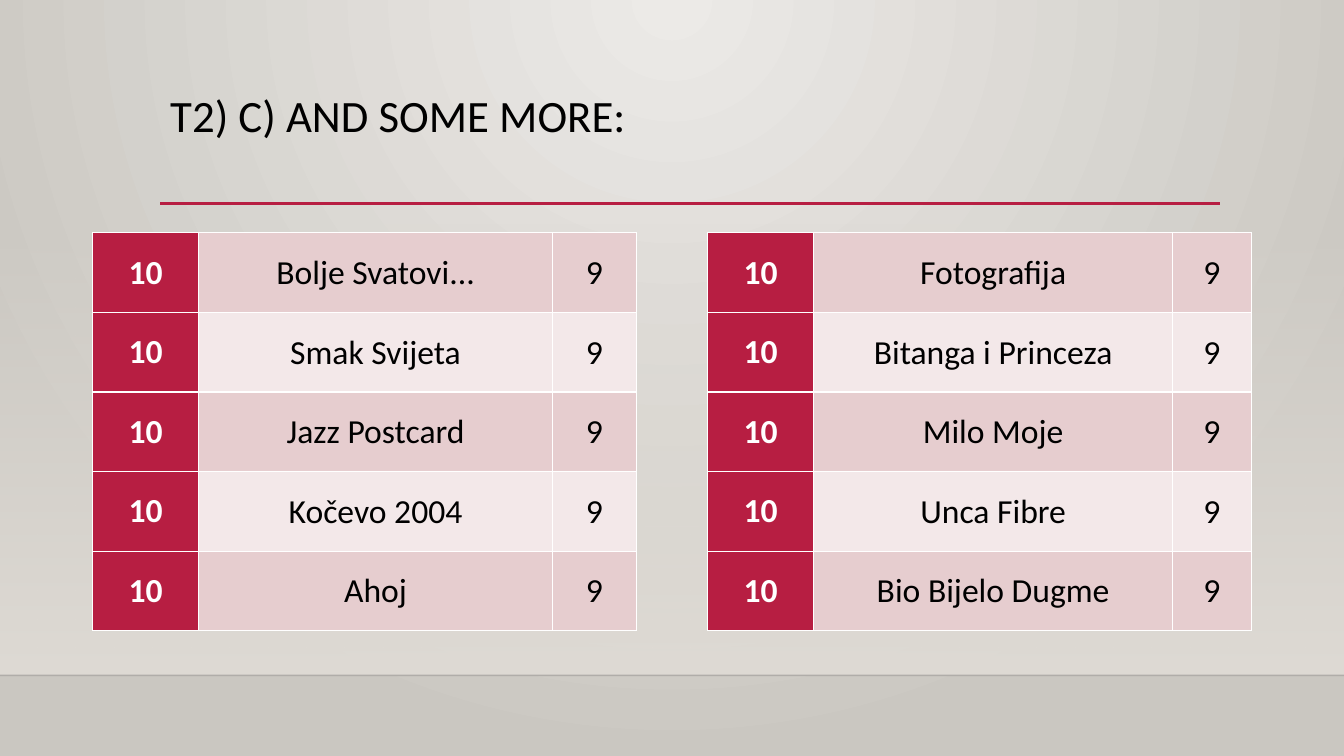
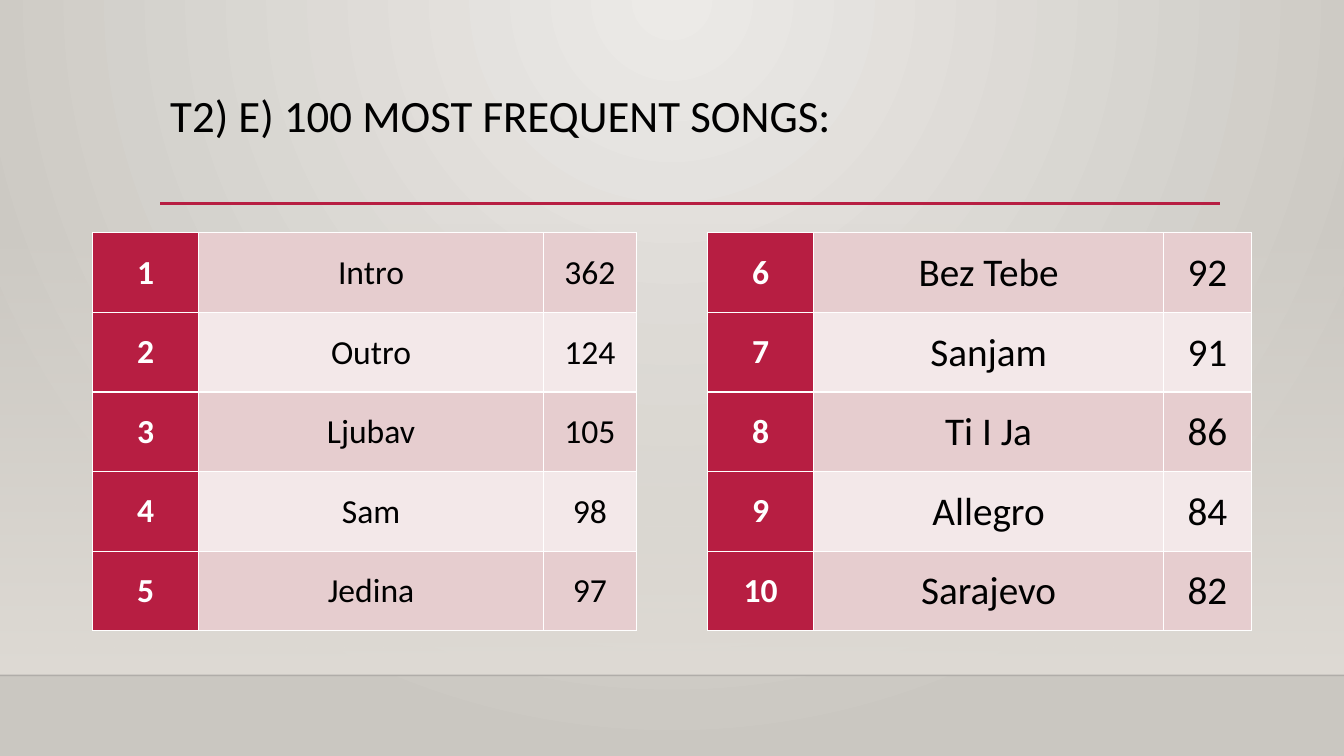
from dataclasses import dataclass

from lxml.etree import SubElement
from pptx import Presentation
from pptx.dml.color import RGBColor
from pptx.enum.shapes import MSO_CONNECTOR, MSO_SHAPE
from pptx.enum.text import MSO_ANCHOR, PP_ALIGN
from pptx.oxml.ns import qn
from pptx.util import Inches, Pt

# Shared style
FONT = "Calibri"
BLACK = RGBColor(0x00, 0x00, 0x00)
NEAR_BLACK = RGBColor(0x00, 0x00, 0x01)
WHITE = RGBColor(0xFF, 0xFF, 0xFF)
CRIMSON = RGBColor(0xB7, 0x1E, 0x42)
ROW_FILLS = RGBColor(0xE6, 0xCD, 0xCF), RGBColor(0xF3, 0xE8, 0xE9)
GLOW = RGBColor(0xEC, 0xEA, 0xE7)
STONE = RGBColor(0xCA, 0xC7, 0xC1)
SAND = RGBColor(0xDF, 0xDB, 0xD5)

SLIDE_WIDTH, SLIDE_HEIGHT = 13.33, 7.5
BAND_TOP, FLOOR = 2.21, 6.7
TABLE_LEFTS = 0.92, 7.02
TABLE_TOP, TABLE_WIDTH = 2.31, 5.39
ROW_HEIGHT, RANK_WIDTH = 0.79, 1.05


@dataclass(frozen=True)
class SongTable:
    songs: tuple[tuple[str, str, str], ...]  # rank, song, count
    count_width: float
    size: int = 24


@dataclass(frozen=True)
class SongPage:
    title: str
    tables: tuple[SongTable, SongTable]


PAGES = (
    SongPage("T2) C) AND SOME MORE:", (
        SongTable((("10", "Bolje Svatovi...", "9"), ("10", "Smak Svijeta", "9"),
                   ("10", "Jazz Postcard", "9"), ("10", "Kočevo 2004", "9"),
                   ("10", "Ahoj", "9")), 0.83),
        SongTable((("10", "Fotografija", "9"), ("10", "Bitanga i Princeza", "9"),
                   ("10", "Milo Moje", "9"), ("10", "Unca Fibre", "9"),
                   ("10", "Bio Bijelo Dugme", "9")), 0.78),
    )),
    SongPage("T2) E) 100 MOST FREQUENT SONGS:", (
        SongTable((("1", "Intro", "362"), ("2", "Outro", "124"),
                   ("3", "Ljubav", "105"), ("4", "Sam", "98"),
                   ("5", "Jedina", "97")), 0.92),
        SongTable((("6", "Bez Tebe", "92"), ("7", "Sanjam", "91"),
                   ("8", "Ti I Ja", "86"), ("9", "Allegro", "84"),
                   ("10", "Sarajevo", "82")), 0.87, size=28),
    )),
)


def write_text(frame, text: str, *, size: int, color: RGBColor = BLACK,
               bold: bool = False, align=PP_ALIGN.LEFT, spacing: float = 1.0) -> None:
    para = frame.paragraphs[0]
    para.alignment = align
    para.line_spacing = spacing
    span = para.add_run()
    span.text = text
    span.font.name = FONT
    span.font.size = Pt(size)
    span.font.bold = bold
    span.font.color.rgb = color


def set_alpha(element, percent: int) -> None:
    color = next(element.iter(qn("a:srgbClr")))
    SubElement(color, qn("a:alpha"), val=str(percent * 1000))


def set_gradient(fill, start: RGBColor, end: RGBColor) -> None:
    fill.gradient()
    for stop, color, position in zip(fill.gradient_stops, (start, end), (0, 1)):
        stop.color.rgb = color
        stop.position = position


def add_rule(page, left: float, right: float, top: float, color: RGBColor,
             width: float, opacity: int = 100) -> None:
    rule = page.shapes.add_connector(MSO_CONNECTOR.STRAIGHT, Inches(left),
                                     Inches(top), Inches(right), Inches(top))
    rule.line.color.rgb = color
    rule.line.width = Pt(width)
    properties = rule._element.spPr
    if opacity < 100:
        set_alpha(properties, opacity)
    SubElement(properties, qn("a:effectLst"))


def add_backdrop(page) -> None:
    # Radial glow from the top centre
    set_gradient(page.background.fill, GLOW, STONE)
    gradient = next(page._element.iter(qn("a:gradFill")))
    gradient.remove(gradient.find(qn("a:lin")))
    glow = SubElement(gradient, qn("a:path"), path="circle")
    SubElement(glow, qn("a:fillToRect"), l="43000", t="0", r="43000", b="100000")

    # Band that fades in towards the floor line
    band = page.shapes.add_shape(MSO_SHAPE.RECTANGLE, 0, Inches(BAND_TOP),
                                 Inches(SLIDE_WIDTH), Inches(FLOOR - BAND_TOP))
    band.shadow.inherit = False
    band.line.fill.background()
    set_gradient(band.fill, SAND, SAND)
    band.fill.gradient_angle = 270
    set_alpha(next(band._element.iter(qn("a:gs"))), 0)

    add_rule(page, 0, SLIDE_WIDTH, FLOOR, NEAR_BLACK, 1, opacity=20)
    add_rule(page, 1.59, 12.1, 2.02, CRIMSON, 2.5)


def add_title(page, title: str) -> None:
    box = page.shapes.add_textbox(Inches(1.59), Inches(0.88), Inches(10.5), Inches(1.15))
    box.text_frame.word_wrap = True
    write_text(box.text_frame, title, size=32, spacing=0.9)


def add_borders(cell) -> None:
    properties = cell._tc.get_or_add_tcPr()
    for index, side in enumerate(("a:lnL", "a:lnR", "a:lnT", "a:lnB")):
        border = SubElement(properties, qn(side), w=str(Pt(1)))
        fill = SubElement(border, qn("a:solidFill"))
        SubElement(fill, qn("a:srgbClr"), val=str(WHITE))
        properties.insert(index, border)


def add_song_table(page, left: float, block: SongTable) -> None:
    widths = (RANK_WIDTH, TABLE_WIDTH - RANK_WIDTH - block.count_width, block.count_width)
    rows = len(block.songs)
    table = page.shapes.add_table(rows, len(widths), Inches(left), Inches(TABLE_TOP),
                                  Inches(TABLE_WIDTH), Inches(ROW_HEIGHT * rows)).table
    table.first_row = False
    table.horz_banding = False
    for column, width in zip(table.columns, widths):
        column.width = Inches(width)
    for row_index, song in enumerate(block.songs):
        table.rows[row_index].height = Inches(ROW_HEIGHT)
        for column_index, text in enumerate(song):
            cell = table.cell(row_index, column_index)
            is_rank = column_index == 0
            cell.vertical_anchor = MSO_ANCHOR.MIDDLE
            if not is_rank:
                cell.margin_left = cell.margin_right = cell.margin_top = Inches(0.01)
                cell.margin_bottom = 0
            cell.fill.solid()
            cell.fill.fore_color.rgb = CRIMSON if is_rank else ROW_FILLS[row_index % 2]
            add_borders(cell)
            write_text(cell.text_frame, text, size=24 if is_rank else block.size,
                       color=WHITE if is_rank else BLACK, bold=is_rank,
                       align=PP_ALIGN.CENTER)


def main() -> None:
    deck = Presentation()
    deck.slide_width = Inches(SLIDE_WIDTH)
    deck.slide_height = Inches(SLIDE_HEIGHT)
    blank = deck.slide_layouts[6]
    for content in PAGES:
        page = deck.slides.add_slide(blank)
        add_backdrop(page)
        add_title(page, content.title)
        for left, block in zip(TABLE_LEFTS, content.tables):
            add_song_table(page, left, block)
    deck.save("out.pptx")


if __name__ == "__main__":
    main()
